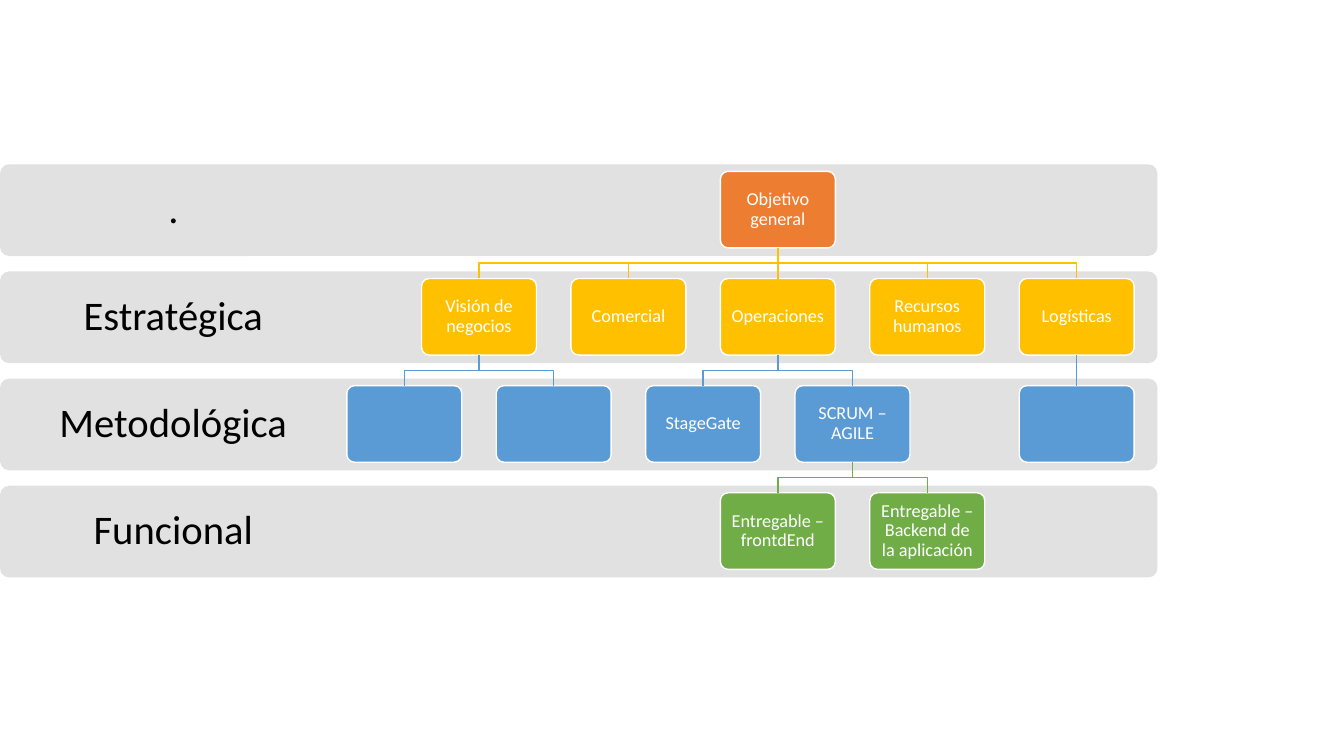
from collections import namedtuple

from lxml.etree import SubElement
from pptx import Presentation
from pptx.dml.color import RGBColor
from pptx.enum.shapes import MSO_CONNECTOR, MSO_SHAPE
from pptx.enum.text import MSO_ANCHOR, PP_ALIGN
from pptx.oxml.ns import qn
from pptx.util import Inches, Pt

BLACK = RGBColor(0x00, 0x00, 0x00)
WHITE = RGBColor(0xFF, 0xFF, 0xFF)
BAND_GREY = RGBColor(0xE1, 0xE1, 0xE1)
ORANGE = RGBColor(0xED, 0x7D, 0x31)
YELLOW = RGBColor(0xFF, 0xC0, 0x00)
BLUE = RGBColor(0x5B, 0x9B, 0xD5)
GREEN = RGBColor(0x70, 0xAD, 0x47)

FONT = "Calibri"
CORNER = 0.1
LEVEL_LABELS = [".", "Estratégica", "Metodológica", "Funcional"]
LEVEL_COLORS = [ORANGE, YELLOW, BLUE, GREEN]

LEVEL_STEP = Inches(1.063)
BAND_TOP, BAND_WIDTH, BAND_HEIGHT = Inches(1.63), Inches(11.48), Inches(0.91)
LABEL_WIDTH = Inches(3.44)
GOAL_TOP, BOX_WIDTH, BOX_HEIGHT = Inches(1.7), Inches(1.14), Inches(0.76)
FIRST_SLOT, SLOT_STEP = Inches(3.44), Inches(0.741)

# slot counts half columns from the leftmost box
Node = namedtuple("Node", "text slot children", defaults=[()])

GOAL = Node("Objetivo general", 5, (
    Node("Visión de negocios", 1, (Node("", 0), Node("", 2))),
    Node("Comercial", 3),
    Node("Operaciones", 5, (
        Node("StageGate", 4),
        Node("SCRUM – AGILE", 6, (
            Node("Entregable – frontdEnd", 5),
            Node("Entregable – Backend de la aplicación", 7),
        )),
    )),
    Node("Recursos humanos", 7),
    Node("Logísticas", 9, (Node("", 9),)),
))


def write_centred(shape, text, size, color, inset):
    frame = shape.text_frame
    frame.word_wrap = True
    frame.vertical_anchor = MSO_ANCHOR.MIDDLE
    frame.margin_left = frame.margin_right = inset
    frame.margin_top = frame.margin_bottom = inset
    paragraph = frame.paragraphs[0]
    paragraph.text = text
    paragraph.alignment = PP_ALIGN.CENTER
    paragraph.line_spacing = 0.9
    paragraph.font.name = FONT
    paragraph.font.size = Pt(size)
    paragraph.font.color.rgb = color


def add_rounded(slide, left, top, width, height, fill):
    shape = slide.shapes.add_shape(
        MSO_SHAPE.ROUNDED_RECTANGLE, left, top, width, height)
    shape.adjustments[0] = CORNER
    shape.shadow.inherit = False
    shape.fill.solid()
    shape.fill.fore_color.rgb = fill
    return shape


def add_band(slide, level, label):
    top = BAND_TOP + level * LEVEL_STEP
    band = add_rounded(slide, 0, top, BAND_WIDTH, BAND_HEIGHT, BAND_GREY)
    band.line.fill.background()
    label_box = slide.shapes.add_textbox(0, top, LABEL_WIDTH, BAND_HEIGHT)
    write_centred(label_box, label, 29, BLACK, Inches(0.23))


def add_box(slide, node, level):
    box = add_rounded(
        slide, FIRST_SLOT + node.slot * SLOT_STEP, GOAL_TOP + level * LEVEL_STEP,
        BOX_WIDTH, BOX_HEIGHT, LEVEL_COLORS[level])
    box.line.color.rgb = WHITE
    box.line.width = Pt(1)
    if node.text:
        write_centred(box, node.text, 13, WHITE, Inches(0.05))
    return box


def add_straight_link(slide, parent, child):
    link = slide.shapes.add_connector(MSO_CONNECTOR.STRAIGHT, 0, 0, 0, 0)
    link.begin_connect(parent, 2)
    link.end_connect(child, 0)
    SubElement(link._element.spPr, qn("a:effectLst"))
    return link


def add_bent_link(slide, parent, child):
    start_x = parent.left + BOX_WIDTH // 2
    end_x = child.left + BOX_WIDTH // 2
    start_y = parent.top + BOX_HEIGHT
    middle_y = (start_y + child.top) // 2
    builder = slide.shapes.build_freeform(start_x, start_y)
    builder.add_line_segments(
        [(start_x, middle_y), (end_x, middle_y), (end_x, child.top)], close=False)
    link = builder.convert_to_shape()
    link.shadow.inherit = False
    link.fill.background()
    return link


def add_branch(slide, node, level=0):
    """Draw a node and everything below it, and return the node's box."""
    box = add_box(slide, node, level)
    for child in node.children:
        child_box = add_branch(slide, child, level + 1)
        add_link = add_straight_link if child.slot == node.slot else add_bent_link
        link = add_link(slide, box, child_box)
        link.line.color.rgb = LEVEL_COLORS[level + 1]
        link.line.width = Pt(1)
    return box


def main():
    presentation = Presentation()
    presentation.slide_width = Inches(13.33)
    presentation.slide_height = Inches(7.5)
    slide = presentation.slides.add_slide(presentation.slide_layouts[6])
    for level, label in reversed(list(enumerate(LEVEL_LABELS))):
        add_band(slide, level, label)
    add_branch(slide, GOAL)
    presentation.save("out.pptx")


if __name__ == "__main__":
    main()
